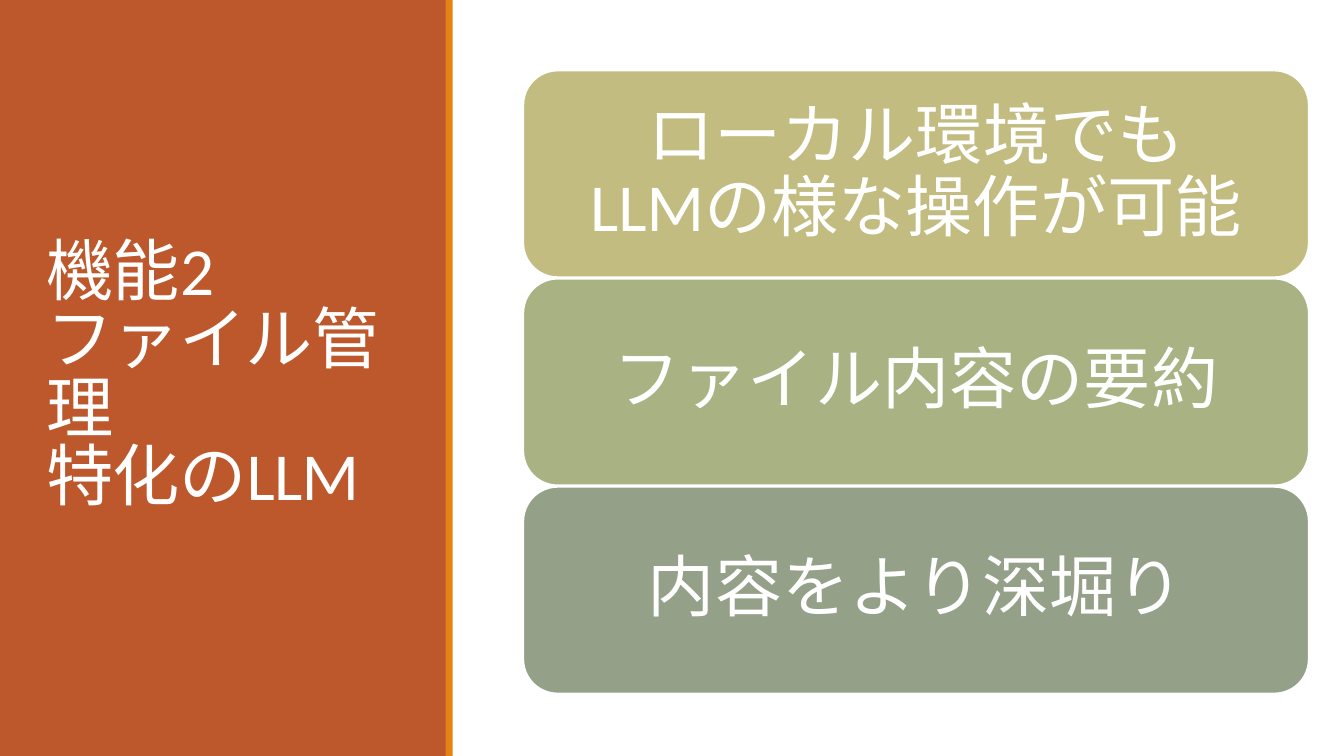
from pptx import Presentation
from pptx.dml.color import RGBColor
from pptx.enum.shapes import MSO_SHAPE
from pptx.enum.text import MSO_ANCHOR, MSO_AUTO_SIZE, PP_ALIGN
from pptx.util import Inches, Pt

RECTANGLE = MSO_SHAPE.RECTANGLE
ROUNDED = MSO_SHAPE.ROUNDED_RECTANGLE
MIDDLE = MSO_ANCHOR.MIDDLE
LEFT, CENTER = PP_ALIGN.LEFT, PP_ALIGN.CENTER
WHITE = "FFFFFF"


def add_block(kind, left, top, width, height, color):
    shape = slide.shapes.add_shape(
        kind, Inches(left), Inches(top), Inches(width), Inches(height))
    shape.shadow.inherit = False
    shape.fill.solid()
    shape.fill.fore_color.rgb = RGBColor.from_string(color)
    shape.line.fill.background()
    return shape


def set_text(shape, text, alignment, line_spacing):
    frame = shape.text_frame
    frame.word_wrap = True
    frame.auto_size = MSO_AUTO_SIZE.NONE
    frame.vertical_anchor = MIDDLE
    paragraph = frame.paragraphs[0]
    paragraph.text = text
    paragraph.alignment = alignment
    paragraph.line_spacing = line_spacing
    paragraph.font.name = "Calibri"
    paragraph.font.size = Pt(48)
    paragraph.font.color.rgb = RGBColor.from_string(WHITE)
    return frame


presentation = Presentation()
presentation.slide_width = Inches(13.33)
presentation.slide_height = Inches(7.5)
slide = presentation.slides.add_slide(presentation.slide_layouts[5])

# Left panel with its accent stripe, placed behind the title
panel = add_block(RECTANGLE, 0, 0, 4.43, 7.5, "BD582C")
slide.shapes._spTree.insert(2, panel._element)
add_block(RECTANGLE, 4.42, 0, 0.07, 7.5, "E48312")

# Title
title = slide.shapes.title
title.left, title.top = Inches(0.36), Inches(0.59)
title.width, title.height = Inches(3.82), Inches(6.31)
title_frame = set_text(title, "機能2\nファイル管理\n特化のLLM", LEFT, 0.85)
for run in title_frame.paragraphs[0].runs:
    run.font._element.set("spc", "-50")

# Stacked feature cards
features = [
    ("ローカル環境でも\n対話AIの様な操作が可能", "C2BC80"),
    ("ファイル内容の要約", "A8B283"),
    ("内容をより深堀り", "94A088"),
]
features[0] = (features[0][0].replace("対話AI", "LLM"), features[0][1])
first_top, last_top = 0.7, 4.83
pitch = (last_top - first_top) / (len(features) - 1)
for index, (text, color) in enumerate(features):
    card = add_block(ROUNDED, 5.19, first_top + index * pitch, 7.79, 2.05, color)
    card.line.color.rgb = RGBColor.from_string(WHITE)
    card.line.width = Pt(1.25)
    frame = set_text(card, text, CENTER, 0.9)
    frame.margin_left = frame.margin_right = Inches(0.2)
    frame.margin_top = frame.margin_bottom = Inches(0.2)

presentation.save("out.pptx")
